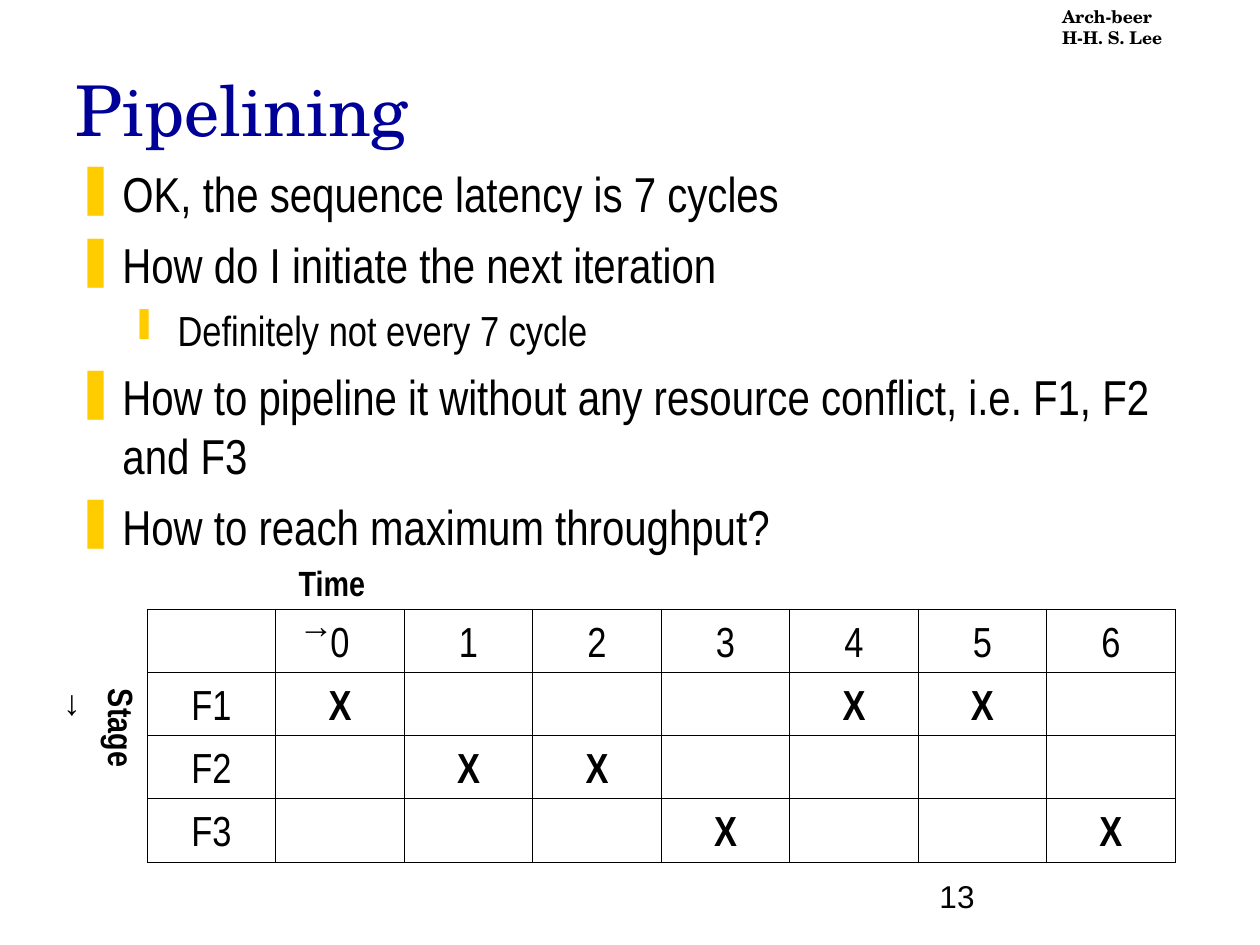
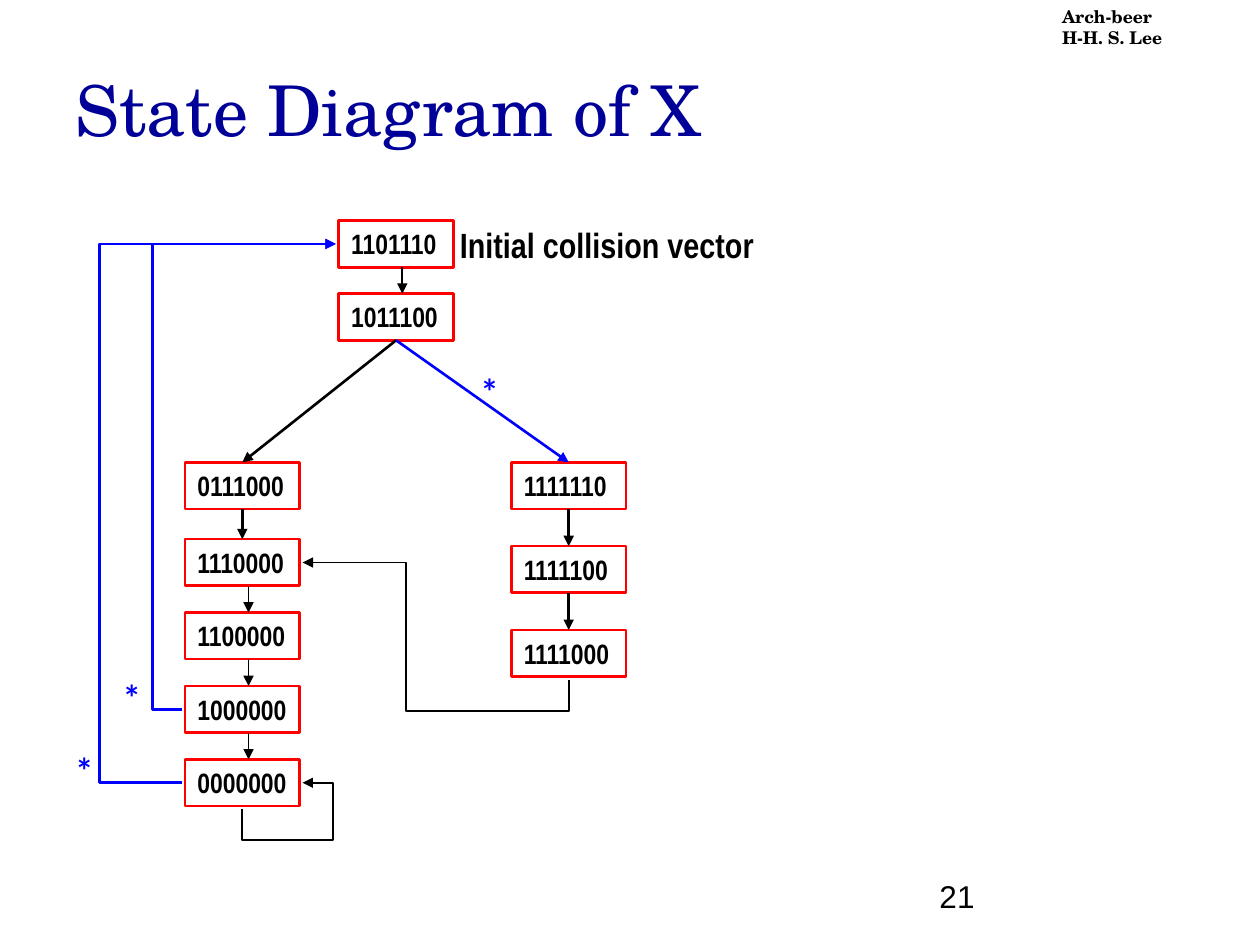
from lxml import etree
from pptx import Presentation
from pptx import util as u
from pptx.dml import color
from pptx.enum import shapes, text
from pptx.oxml import ns

BLACK, NAVY, BLUE, RED, GOLD = "000000", "000099", "0000FF", "FF0000", "FFCC00"
SERIF, SANS, NARROW, STAR = "TeX Gyre Schola", "Arial", "Arial Narrow", "Lato"
TITLE_BOX = (1.27, 0.84, 21.59, 2.33)
HEADER_BOX = (21.16, 0, 4.24, 1.12)
NUMBER_BOX = (18.69, 17.3, 5.28, 1.27)
TOP, LEFT, BOTTOM, RIGHT = range(4)
GAP = u.Cm(0.06)


def rgb(hex_code):
    """Turn a hex string into a colour."""
    return color.RGBColor.from_string(hex_code)


def cm(*lengths):
    """Turn numbers into lengths in centimetres."""
    return [u.Cm(n) for n in lengths]


def add_xml(parent, tag, **attrs):
    """Append a DrawingML element to a parent."""
    return etree.SubElement(parent, ns.qn(tag), attrs)


def style(p, size, font=NARROW, hex_code=BLACK, bold=False):
    """Format every run of a paragraph."""
    for r in p.runs:
        r.font.size, r.font.name, r.font.bold = u.Pt(size), font, bold
        r.font.color.rgb = rgb(hex_code)


def add_text(slide, box, lines, size, font=NARROW, hex_code=BLACK, bold=False, wrap=True):
    """Add a text box with one paragraph per line."""
    sp = slide.shapes.add_textbox(*cm(*box))
    tf = sp.text_frame
    tf.text, tf.word_wrap = lines, wrap
    for p in tf.paragraphs:
        style(p, size, font, hex_code, bold)
    return sp


def add_frame(prs, title, number):
    """Start a slide with its title, header and page number."""
    slide = prs.slides.add_slide(prs.slide_layouts[5])
    sp = slide.shapes.title
    sp.left, sp.top, sp.width, sp.height = cm(*TITLE_BOX)
    tf = sp.text_frame
    tf.text, tf.word_wrap = title, True
    tf.auto_size = text.MSO_AUTO_SIZE.NONE
    tf.vertical_anchor = text.MSO_ANCHOR.BOTTOM
    tf.paragraphs[0].alignment = text.PP_ALIGN.LEFT
    style(tf.paragraphs[0], 40, SERIF, NAVY)
    add_text(slide, HEADER_BOX, "Arch-beer\nH-H. S. Lee", 10, SERIF, bold=True)
    sp = add_text(slide, NUMBER_BOX, str(number), 18, SANS)
    sp.text_frame.vertical_anchor = text.MSO_ANCHOR.BOTTOM
    return slide


def add_bullets(slide, box, items):
    """Add a two-level bulleted list from (level, text) pairs."""
    levels = [(28, 7, 0.95, 0.95, "❚"), (24, 6, 2.06, 0.79, "❙")]
    sp = add_text(slide, box, "\n".join(line for _, line in items), 28)
    for p, (level, _) in zip(sp.text_frame.paragraphs, items):
        size, before, margin, hang, bullet = levels[level]
        p.level, p.space_before = level, u.Pt(before)
        style(p, size)
        pPr = p._p.get_or_add_pPr()
        pPr.set("marL", str(u.Cm(margin)))
        pPr.set("indent", str(-u.Cm(hang)))
        add_xml(add_xml(pPr, "a:buClr"), "a:srgbClr", val=GOLD)
        add_xml(pPr, "a:buChar", char=bullet)


def format_cell(cell, value):
    """Write one table cell with thin black borders and no fill."""
    cell.text = value
    cell.vertical_anchor = text.MSO_ANCHOR.BOTTOM
    p = cell.text_frame.paragraphs[0]
    p.alignment = text.PP_ALIGN.CENTER
    style(p, 24, bold=value == "X")
    tcPr = cell._tc.get_or_add_tcPr()
    for side in ("a:lnL", "a:lnR", "a:lnT", "a:lnB"):
        ln = add_xml(tcPr, side, w=str(u.Pt(0.45)))
        add_xml(add_xml(ln, "a:solidFill"), "a:srgbClr", val=BLACK)
    cell.fill.background()


def add_reservation_table(slide, box, stages, cycles):
    """Add the stage-by-time table with its axis labels."""
    x, y, w, h = box
    table = slide.shapes.add_table(len(stages) + 1, cycles + 1, *cm(*box)).table
    table.first_row = table.horz_banding = False
    rows = [["", *map(str, range(cycles))]]
    for stage, used in stages.items():
        rows.append([stage, *("X" if t in used else "" for t in range(cycles))])
    for row, values in enumerate(rows):
        for col, value in enumerate(values):
            format_cell(table.cell(row, col), value)
    labels = [("Time ", (x + 2.8, y - 1.09, 2.59, 1.12), 0),
              ("Stage ", (x - 1.93, y + 2.21, 2.82, 1.12), 90)]
    for label, place, angle in labels:
        sp = add_text(slide, place, label, 20, bold=True)
        sp.rotation = angle
        p = sp.text_frame.paragraphs[0]
        r = p.add_run()
        r.text = "→"
        style(p, 20, bold=True)
        r.font.name = SANS


def add_node(slide, x, y, state):
    """Add a red-framed state box."""
    sp = slide.shapes.add_shape(shapes.MSO_SHAPE.RECTANGLE, *cm(x, y, 2.31, 0.94))
    sp.shadow.inherit = False
    sp.fill.background()
    sp.line.color.rgb, sp.line.width = rgb(RED), u.Pt(1.5)
    tf = sp.text_frame
    tf.text, tf.word_wrap = state, False
    tf.vertical_anchor = text.MSO_ANCHOR.TOP
    tf.paragraphs[0].alignment = text.PP_ALIGN.LEFT
    style(tf.paragraphs[0], 16, bold=True)
    return sp


def side(sp, site, gap=0):
    """Return the point at the middle of a side, moved out by a gap."""
    mid_x, mid_y = sp.left + sp.width // 2, sp.top + sp.height // 2
    return {TOP: (mid_x, sp.top - gap), LEFT: (sp.left - gap, mid_y),
            BOTTOM: (mid_x, sp.top + sp.height + gap),
            RIGHT: (sp.left + sp.width + gap, mid_y)}[site]


def add_arrow(slide, kind, start, end, hex_code, width, arrow_end="a:tailEnd"):
    """Add a connector with a triangle at one end."""
    c = slide.shapes.add_connector(kind, *start, *end)
    c.line.color.rgb, c.line.width = rgb(hex_code), u.Pt(width)
    add_xml(c.line._get_or_add_ln(), arrow_end, type="triangle")
    add_xml(c._element.spPr, "a:effectLst")
    return c


def join(slide, upper, lower, hex_code=BLACK):
    """Join the bottom of one state to the top of another."""
    c = add_arrow(slide, shapes.MSO_CONNECTOR.STRAIGHT, side(upper, BOTTOM),
                  side(lower, TOP), hex_code, 1.5)
    c.begin_connect(upper, BOTTOM)
    c.end_connect(lower, TOP)


def step(slide, upper, lower):
    """Draw a thin arrow between stacked states, right of their centre."""
    x = upper.left + u.Cm(1.28)
    add_arrow(slide, shapes.MSO_CONNECTOR.STRAIGHT, (x, upper.top + upper.height),
              (x, lower.top), BLACK, 1)


def add_elbow(slide, start, end, lane_x, lane_y=None):
    """Draw a blue return path, or a black path reversed below lane_y."""
    look = (BLUE, 1.5) if lane_y is None else (BLACK, 1, "a:headEnd")
    c = add_arrow(slide, shapes.MSO_CONNECTOR.ELBOW, start, end, *look)
    bends = [(lane_x - start[0]) / (end[0] - start[0])]
    geom = c._element.spPr.find(ns.qn("a:prstGeom"))
    if lane_y is not None:
        geom.set("prst", "bentConnector4")
        bends.append((lane_y - start[1]) / (end[1] - start[1]))
    avLst = geom.find(ns.qn("a:avLst"))
    for i, bend in enumerate(bends, 1):
        add_xml(avLst, "a:gd", name=f"adj{i}", fmla=f"val {round(bend * 100000)}")


def add_state_diagram(slide, box):
    """Add the states, their transitions and the labels."""
    x, y = box[:2]
    root = [add_node(slide, x + 5.56, y + 1.47 * i, state)
            for i, state in enumerate(["1101110", "1011100"])]
    left = [add_node(slide, x + 2.46, y + 4.87, "0111000")]
    left += [add_node(slide, x + 2.46, y + 6.42 + 1.48 * i, state)
             for i, state in enumerate(["1110000", "1100000", "1000000", "0000000"])]
    right = [add_node(slide, x + 9.04, y + 4.87 + 1.69 * i, state)
             for i, state in enumerate(["1111110", "1111100", "1111000"])]
    for upper, lower in [(root[0], root[1]), *zip(left[1:], left[2:])]:
        step(slide, upper, lower)
    for upper, lower in [(root[1], left[0]), (left[0], left[1]), *zip(right, right[1:])]:
        join(slide, upper, lower)
    join(slide, root[1], right[0], BLUE)
    for state, lane in [(left[3], 1.8), (left[4], 0.74)]:
        add_elbow(slide, side(state, LEFT, GAP), side(root[0], LEFT, GAP), u.Cm(x + lane))
    for target, source, lane_x, lane_y in [(left[1], right[2], 6.91, 9.88),
                                           (left[4], left[4], 5.44, 12.49)]:
        add_elbow(slide, side(target, RIGHT, GAP), side(source, BOTTOM, GAP),
                  u.Cm(x + lane_x), u.Cm(y + lane_y))
    for star_x, star_y in [(8.2, 2.89), (0.99, 9.06), (0.03, 10.54)]:
        add_text(slide, (x + star_x, y + star_y, 0.89, 1.12), "*", 20, STAR, BLUE, True, False)
    add_text(slide, (x + 7.75, y - 0.06, 6.43, 1.12), "Initial collision vector", 20,
             bold=True, wrap=False)


def main():
    """Build both slides and save them."""
    prs = Presentation()
    prs.slide_width, prs.slide_height = cm(25.4, 19.05)
    slide = add_frame(prs, "Pipelining", 13)
    add_bullets(slide, (1.27, 3.18, 23.28, 13.23), [
        (0, "OK, the sequence latency is 7 cycles"),
        (0, "How do I initiate the next iteration"),
        (1, "Definitely not every 7 cycle"),
        (0, "How to pipeline it without any resource conflict, i.e. F1, F2 and F3"),
        (0, "How to reach maximum throughput?")])
    add_reservation_table(slide, (2.97, 12.28, 20.72, 5.1),
                          {"F1": (0, 4, 5), "F2": (1, 2), "F3": (3, 6)}, 7)
    slide = add_frame(prs, "State Diagram of X", 21)
    add_state_diagram(slide, (1.27, 4.45, 14.18, 12.49))
    prs.save("out.pptx")


if __name__ == "__main__":
    main()
